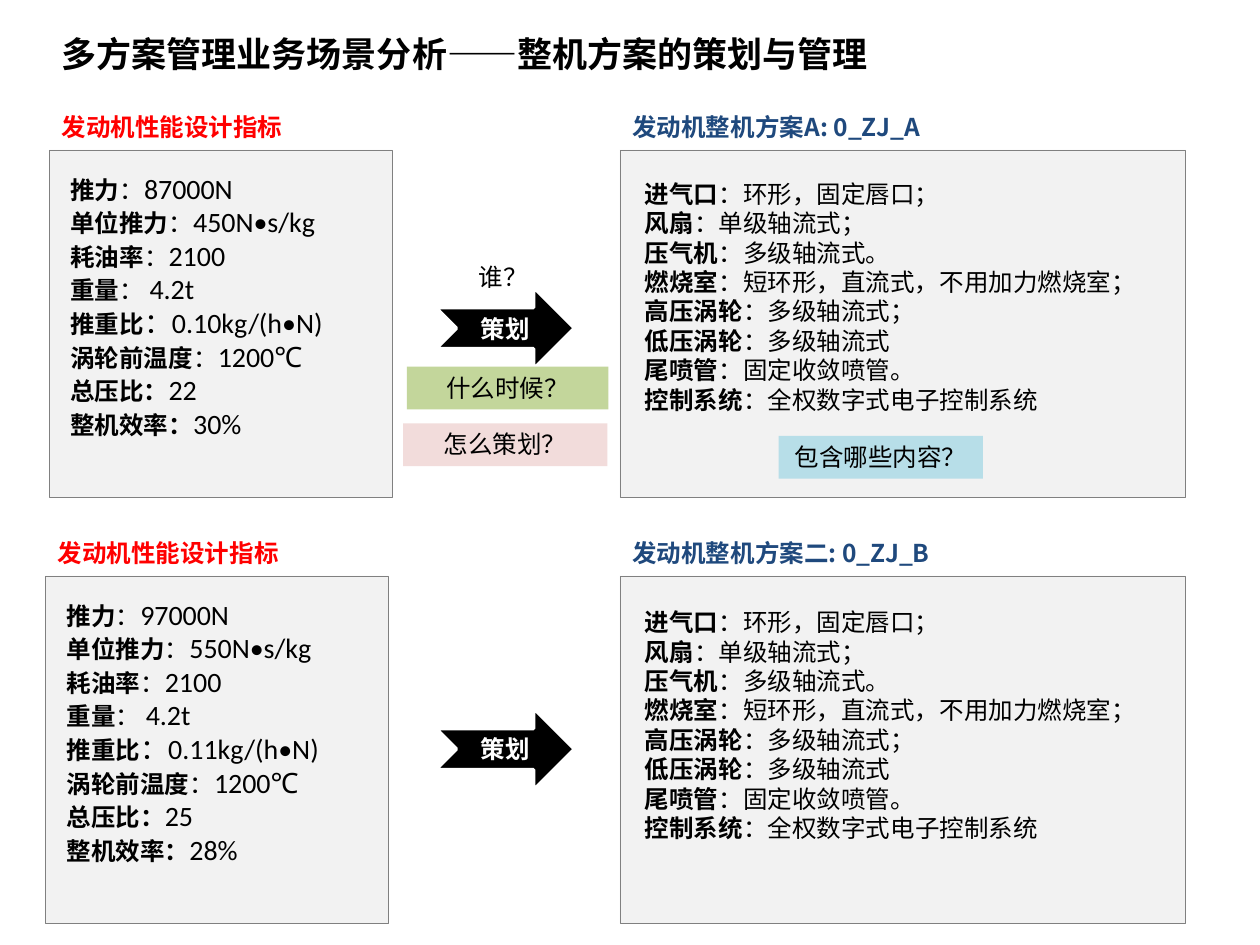
from lxml import etree
from pptx import Presentation
from pptx.dml.color import RGBColor
from pptx.enum.shapes import MSO_SHAPE
from pptx.enum.text import MSO_ANCHOR, PP_ALIGN
from pptx.oxml.ns import qn
from pptx.util import Emu, Pt

PX = 9144  # EMU per px, 100 px to the inch
CJK, LATIN = "Noto Sans CJK SC", "Calibri"
RECT, ARROW = MSO_SHAPE.RECTANGLE, MSO_SHAPE.NOTCHED_RIGHT_ARROW
LEFT, CENTER = PP_ALIGN.LEFT, PP_ALIGN.CENTER
TOP, MIDDLE = MSO_ANCHOR.TOP, MSO_ANCHOR.MIDDLE

BLACK = RGBColor(0x00, 0x00, 0x00)
WHITE = RGBColor(0xFF, 0xFF, 0xFF)
RED = RGBColor(0xFF, 0x00, 0x00)
NAVY = RGBColor(0x1F, 0x49, 0x7D)
PANEL = RGBColor(0xF2, 0xF2, 0xF2)
GRAY = RGBColor(0x80, 0x80, 0x80)
PINK = RGBColor(0xF2, 0xDC, 0xDB)
GREEN = RGBColor(0xC3, 0xD6, 0x9B)
BLUE = RGBColor(0xB7, 0xDE, 0xE8)

METRICS = ["推力", "单位推力", "耗油率", "重量", "推重比", "涡轮前温度", "总压比", "整机效率"]
BOLD_COLONS = {"总压比", "整机效率"}
COMPONENTS = [
    ("进气口", "环形，固定唇口；"),
    ("风扇", "单级轴流式；"),
    ("压气机", "多级轴流式。"),
    ("燃烧室", "短环形，直流式，不用加力燃烧室；"),
    ("高压涡轮", "多级轴流式；"),
    ("低压涡轮", "多级轴流式"),
    ("尾喷管", "固定收敛喷管。"),
    ("控制系统", "全权数字式电子控制系统"),
]


def emu(box):
    return [Emu(length * PX) for length in box]


def run(text, size=14, bold=False, color=BLACK, face=CJK):
    return text, face, {"size": Pt(size), "bold": bold, "name": face}, color


def write(frame, lines, align=LEFT, anchor=TOP):
    """Fill a frame with lines of runs, spaced at 1.2 times the largest size."""
    frame.word_wrap = True
    frame.vertical_anchor = anchor
    for i, runs in enumerate(lines):
        paragraph = frame.add_paragraph() if i else frame.paragraphs[0]
        paragraph.alignment = align
        largest = max(values["size"].pt for _, _, values, _ in runs)
        paragraph.line_spacing = Pt(round(largest * 1.2, 1))
        for text, face, values, color in runs:
            piece = paragraph.add_run()
            piece.text = text
            for attribute, value in values.items():
                setattr(piece.font, attribute, value)
            piece.font.color.rgb = color
            east_asian = etree.SubElement(piece.font._element, qn("a:ea"))
            east_asian.set("typeface", CJK)


def add_text(slide, box, lines):
    write(slide.shapes.add_textbox(*emu(box)).text_frame, lines)


def add_block(slide, kind, box, fill, line=None, weight=0.25):
    block = slide.shapes.add_shape(kind, *emu(box))
    block.shadow.inherit = False
    block.fill.solid()
    block.fill.fore_color.rgb = fill
    if line is None:
        block.line.fill.background()
    else:
        block.line.color.rgb = line
        block.line.width = Pt(weight)
    return block


def add_panel(slide, box, heading, color, lines, inset):
    """Heading over a grey box; inset is the text's offset in the box."""
    left, top, width, height = box
    dx, dy = inset
    body_top, body_height = top + 35, height - 35
    add_text(slide, (left, top, 288, 34), [[run(heading, bold=True, color=color)]])
    add_block(slide, RECT, (left, body_top, width, body_height), PANEL, GRAY)
    add_text(slide, (left + dx, body_top + dy, width - 2 * dx, body_height - dy - 15), lines)


def add_indicators(slide, box, values):
    lines = []
    for metric, value in zip(METRICS, values):
        colon = run("： " if metric == "重量" else "：",
                    size=16 if metric == "推重比" else 14,
                    bold=metric in BOLD_COLONS)
        lines.append([run(metric, bold=True), colon, run(value, 16, face=LATIN)])
    add_panel(slide, box, "发动机性能设计指标", RED, lines, (7, 12))


def add_scheme(slide, box, heading, dy):
    lines = [[run(part, bold=True), run("：" + design)] for part, design in COMPONENTS]
    add_panel(slide, box, heading, NAVY, lines, (10, dy))


def add_plan_arrow(slide, box):
    arrow = add_block(slide, ARROW, box, BLACK, WHITE, 2)
    write(arrow.text_frame, [[run("策划", bold=True, color=WHITE)]], CENTER, MIDDLE)


def add_question(slide, box, question, fill):
    chip = add_block(slide, RECT, box, fill)
    write(chip.text_frame, [[run(question)]], CENTER)


def main():
    deck = Presentation()
    deck.slide_width, deck.slide_height = emu((1000, 750))
    slide = deck.slides.add_slide(deck.slide_layouts[6])

    # Title
    add_text(slide, (39, 21, 863, 44),
             [[run("多方案管理业务场景分析——整机方案的策划与管理", 20, True)]])

    # Design indicators on the left
    add_indicators(slide, (39, 84, 272, 311),
                   ["87000N", "450N•s/kg", "2100", "4.2t", "0.10kg/(h•N)", "1200℃", "22", "30%"])
    add_indicators(slide, (36, 422, 272, 311),
                   ["97000N", "550N•s/kg", "2100", "4.2t", "0.11kg/(h•N)", "1200℃", "25", "28%"])

    # Engine schemes on the right
    add_scheme(slide, (492, 84, 449, 311), "发动机整机方案A: 0_ZJ_A", 18)
    add_scheme(slide, (492, 422, 449, 311), "发动机整机方案二: 0_ZJ_B", 20)

    # Planning arrows
    for top in (228, 562):
        add_plan_arrow(slide, (346, top, 110, 65))

    # Questions
    add_text(slide, (370, 203, 83, 34), [[run("谁？")]])
    for box, question, fill in [
        ((320, 336, 162, 34), "怎么策划？", PINK),
        ((323, 291, 160, 34), "什么时候？", GREEN),
        ((618, 346, 162, 34), "包含哪些内容？", BLUE),
    ]:
        add_question(slide, box, question, fill)

    deck.save("out.pptx")


if __name__ == "__main__":
    main()
